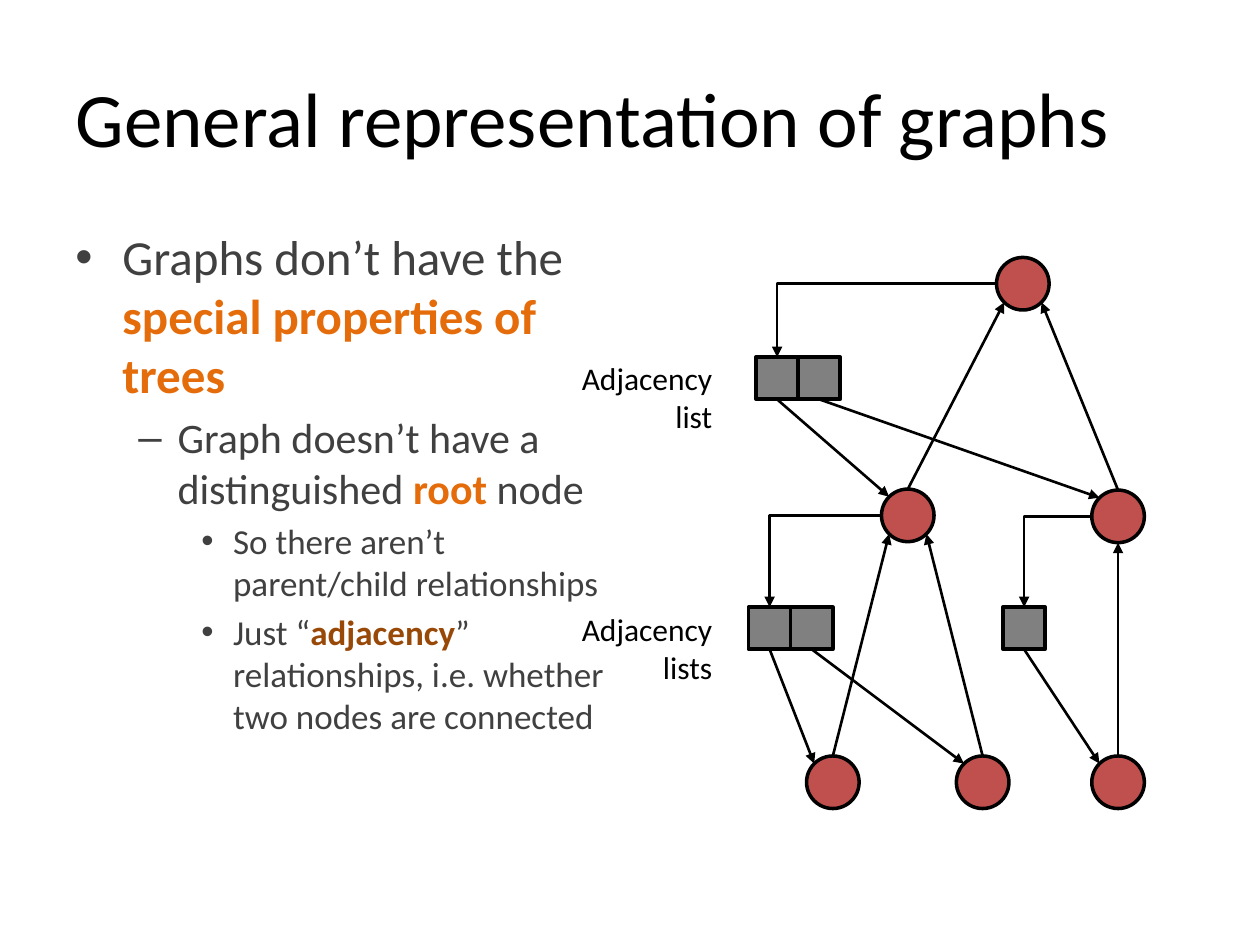
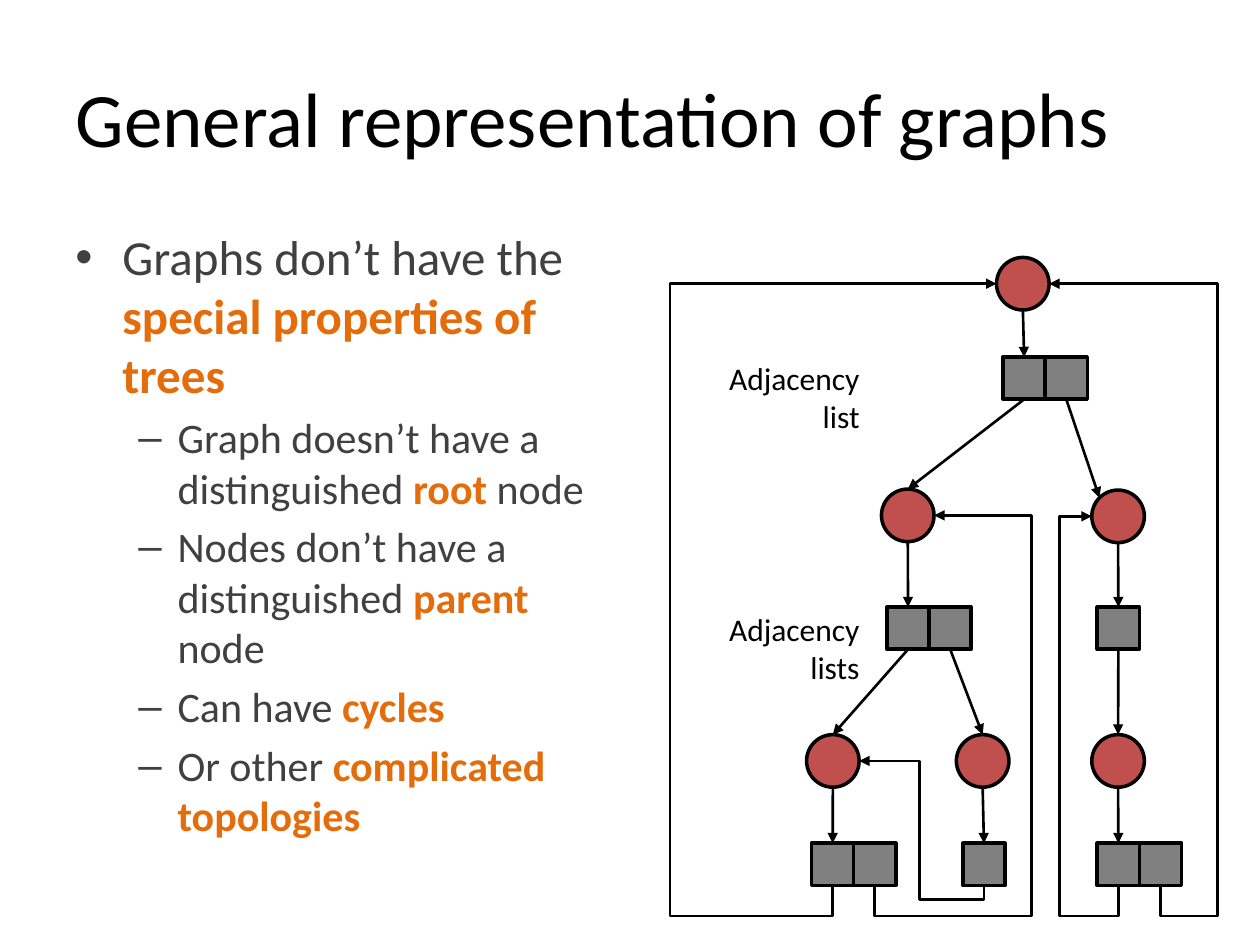
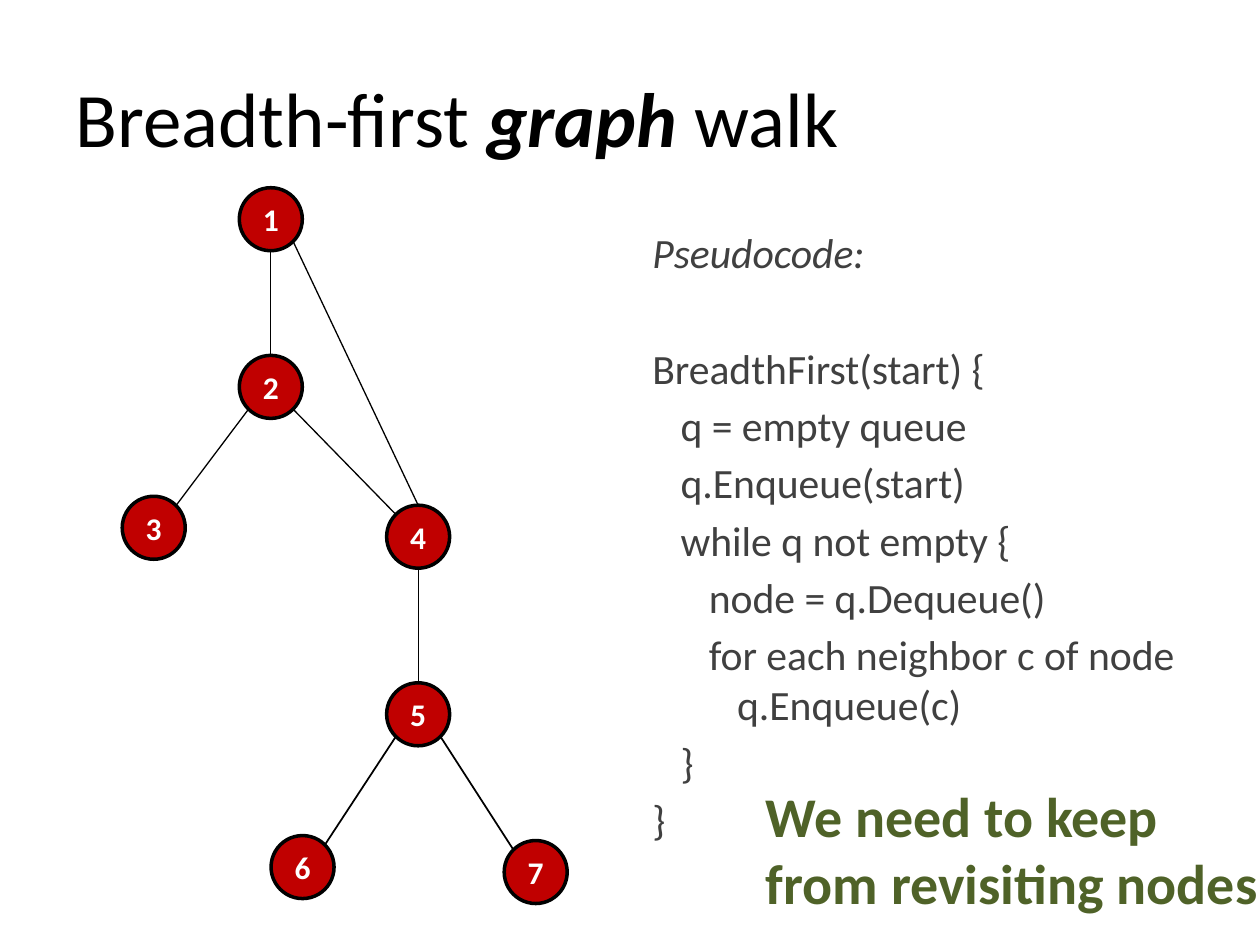
"""Build three slides on graph representation and breadth-first walks."""
from lxml import etree
from pptx import Presentation
from pptx.dml.color import RGBColor
from pptx.enum.shapes import MSO_CONNECTOR, MSO_SHAPE
from pptx.enum.text import MSO_ANCHOR, PP_ALIGN
from pptx.oxml.ns import qn
from pptx.util import Cm, Pt

STRAIGHT = MSO_CONNECTOR.STRAIGHT
OVAL, RECT = MSO_SHAPE.OVAL, MSO_SHAPE.RECTANGLE
MIDDLE = MSO_ANCHOR.MIDDLE
LEFT, CENTER, RIGHT = PP_ALIGN.LEFT, PP_ALIGN.CENTER, PP_ALIGN.RIGHT

FONT = "Calibri"
BLACK = RGBColor(0x00, 0x00, 0x00)
WHITE = RGBColor(0xFF, 0xFF, 0xFF)
TEXT = RGBColor(0x40, 0x40, 0x40)
ORANGE = RGBColor(0xE4, 0x6C, 0x0A)
BROWN = RGBColor(0x98, 0x48, 0x07)
GREEN = RGBColor(0x4F, 0x62, 0x28)
NODE_RED = RGBColor(0xC0, 0x50, 0x4D)
WALK_RED = RGBColor(0xC0, 0x00, 0x00)
GREY = RGBColor(0x80, 0x80, 0x80)

CELL = 0.85
NODE = 1.06
WALK_NODE = 1.27
DIAG = 0.71
SIDES = {"N": (0, -1), "S": (0, 1), "E": (1, 0), "W": (-1, 0),
         "NE": (DIAG, -DIAG), "NW": (-DIAG, -DIAG),
         "SE": (DIAG, DIAG), "SW": (-DIAG, DIAG)}

# bullet, size, left margin, hanging indent
LEVELS = [("•", 28, 0.95, 0.95), ("–", 24, 2.06, 0.79), ("•", 20, 3.18, 0.64)]
GRAPH_TITLE = [("General representation of graphs", False)]
INTRO = [
    (0, [("Graphs don’t have the ", None), ("special properties of trees", ORANGE)]),
    (1, [("Graph doesn’t have a distinguished ", None), ("root ", ORANGE), ("node", None)]),
]
ADJACENCY = [
    (2, [("So there aren’t parent/child relationships", None)]),
    (2, [("Just “", None), ("adjacency", BROWN),
         ("” relationships, i.e. whether two nodes are connected", None)]),
]
TOPOLOGY = [
    (1, [("Nodes don’t have a distinguished ", None), ("parent ", ORANGE), ("node", None)]),
    (1, [("Can have ", None), ("cycles", ORANGE)]),
    (1, [("Or other ", None), ("complicated topologies", ORANGE)]),
]
# indent, space before, text
CODE = [
    (0, 4.2, "Pseudocode:"),
    (0, 37.5, "BreadthFirst(start) {"),
    (1, 4.2, "q = empty queue"),
    (1, 4.2, "q.Enqueue(start)"),
    (1, 4.2, "while q not empty {"),
    (2, 4.2, "node = q.Dequeue()"),
    (2, 4.2, "for each neighbor c of node"),
    (3, 0, "q.Enqueue(c)"),
    (1, 4.2, "}"),
    (0, 4.2, "}"),
]


def add_run(p, text, size, color, bold=False, italic=False):
    """Add one formatted run."""
    r = p.add_run()
    r.text = text
    f = r.font
    f.name, f.size, f.bold, f.italic = FONT, Pt(size), bold, italic
    f.color.rgb = color


def next_paragraph(tf, first):
    """Return the first paragraph of a frame or a new one."""
    return tf.paragraphs[0] if first else tf.add_paragraph()


def add_slide(prs, title):
    """Add a title-only slide; emphasised runs are bold italic."""
    s = prs.slides.add_slide(prs.slide_layouts[5])
    sp = s.shapes.title
    sp.left, sp.top, sp.width, sp.height = Cm(1.27), Cm(0.76), Cm(22.86), Cm(3.18)
    sp.text_frame.vertical_anchor = MIDDLE
    p = sp.text_frame.paragraphs[0]
    p.alignment = LEFT
    for text, strong in title:
        add_run(p, text, 44, BLACK, strong, strong)
    return s


def add_frame(s, x, y, w, h, wrap=True):
    """Add a text box and return its frame."""
    tf = s.shapes.add_textbox(Cm(x), Cm(y), Cm(w), Cm(h)).text_frame
    tf.word_wrap = wrap
    return tf


def add_bullets(s, items):
    """Add the bulleted text on the left."""
    tf = add_frame(s, 1.27, 4.45, 11.23, 13.8)
    for i, (level, runs) in enumerate(items):
        bullet, size, margin, hang = LEVELS[level]
        p = next_paragraph(tf, i == 0)
        p.level = level
        p.space_before = Pt(size * 0.2)
        pPr = p._p.get_or_add_pPr()
        pPr.set("marL", str(Cm(margin)))
        pPr.set("indent", str(-Cm(hang)))
        etree.SubElement(pPr, qn("a:buFont")).set("typeface", "Arial")
        etree.SubElement(pPr, qn("a:buChar")).set("char", bullet)
        for text, accent in runs:
            add_run(p, text, size, accent or TEXT, accent is not None)


def add_code(s, lines):
    """Add the pseudocode with its heading in italics."""
    tf = add_frame(s, 12.9, 4.45, 11.23, 12.57)
    for i, (indent, gap, text) in enumerate(lines):
        p = next_paragraph(tf, i == 0)
        p.space_before = Pt(gap)
        p._p.get_or_add_pPr().set("marL", str(Cm(0.57 * indent)))
        add_run(p, text, 23.8, TEXT, italic=i == 0)


def add_lines(s, box, lines, size, color, align, bold=False):
    """Add short lines of text that do not wrap."""
    tf = add_frame(s, *box, wrap=False)
    for i, text in enumerate(lines):
        p = next_paragraph(tf, i == 0)
        p.alignment = align
        add_run(p, text, size, color, bold)


def add_labels(s, x):
    """Name the two rows of adjacency lists."""
    for y, word in ((7.11, "list"), (12.17, "lists")):
        add_lines(s, (x, y, 3.18, 1.8), ["Adjacency", word], 18, BLACK, RIGHT)


def add_outlined(s, kind, x, y, size, fill):
    """Add a filled preset shape with a black outline."""
    sp = s.shapes.add_shape(kind, Cm(x), Cm(y), Cm(size), Cm(size))
    sp.shadow.inherit = False
    sp.fill.solid()
    sp.fill.fore_color.rgb = fill
    sp.line.color.rgb = BLACK
    sp.line.width = Pt(2)
    return sp


def add_node(s, cx, cy, size=NODE, fill=NODE_RED):
    """Add a round node about its centre."""
    return add_outlined(s, OVAL, cx - size / 2, cy - size / 2, size, fill)


def add_walk_node(s, cx, cy, number):
    """Add a numbered node."""
    sp = add_node(s, cx, cy, WALK_NODE, WALK_RED)
    tf = sp.text_frame
    tf.word_wrap = False
    tf.vertical_anchor = MIDDLE
    tf.margin_left = tf.margin_right = tf.margin_top = tf.margin_bottom = 0
    p = tf.paragraphs[0]
    p.alignment = CENTER
    add_run(p, str(number), 18, WHITE, True)
    return sp


def add_cells(s, x, y, count):
    """Add an adjacency list as a row of cells."""
    return [add_outlined(s, RECT, x + i * CELL, y, CELL, GREY) for i in range(count)]


def port(sp, side):
    """Return the point on a side of a shape."""
    dx, dy = SIDES[side]
    return int(sp.left + sp.width * (1 + dx) / 2), int(sp.top + sp.height * (1 + dy) / 2)


def style_line(sp, width, arrow):
    """Make a line black and shadowless, with an optional arrowhead."""
    sp.line.color.rgb = BLACK
    sp.line.width = Pt(width)
    spPr = sp._element.spPr
    if arrow:
        etree.SubElement(spPr.find(qn("a:ln")), qn("a:tailEnd")).set("type", "triangle")
    etree.SubElement(spPr, qn("a:effectLst"))


def link(s, a, a_side, b, b_side, width=1.5, arrow=True):
    """Join two shapes with a straight line."""
    c = s.shapes.add_connector(STRAIGHT, *port(a, a_side), *port(b, b_side))
    style_line(c, width, arrow)


def route(s, points):
    """Draw an arrow with right-angled turns."""
    fb = s.shapes.build_freeform(*points[0], scale=1.0)
    fb.add_line_segments(points[1:], close=False)
    sp = fb.convert_to_shape()
    sp.fill.background()
    style_line(sp, 1.5, True)


def route_to_list(s, node, cell):
    """Lead sideways from a node, then down to its list."""
    start, end = port(node, "W"), port(cell, "N")
    route(s, [start, (end[0], start[1]), end])


def route_back(s, cell, node, side, lane_x, lane_y):
    """Lead from below a cell along a lane to the side of a node."""
    start, end = port(cell, "S"), port(node, side)
    x, y = Cm(lane_x), Cm(lane_y)
    route(s, [start, (start[0], y), (x, y), (x, end[1]), end])


def add_graph_nodes(s, leaf_y):
    """Add the six nodes in three rows."""
    centers = [(20.62, 5.72), (18.3, 10.39), (22.54, 10.41),
               (16.79, leaf_y), (19.81, leaf_y), (22.54, leaf_y)]
    return [add_node(s, *center) for center in centers]


def parent_slide(prs):
    """Show lists beside the nodes, with links back up."""
    s = add_slide(prs, GRAPH_TITLE)
    add_bullets(s, INTRO + ADJACENCY)
    root, left, right, leaf_a, leaf_b, leaf_c = add_graph_nodes(s, 15.77)
    root_list = add_cells(s, 15.24, 7.2, 2)
    left_list = add_cells(s, 15.09, 12.24, 2)
    right_list = add_cells(s, 20.22, 12.24, 1)
    for node, cells in ((root, root_list), (left, left_list), (right, right_list)):
        route_to_list(s, node, cells[0])
    for child, parent, side in ((left, root, "SW"), (right, root, "SE"),
                                (leaf_a, left, "SW"), (leaf_b, left, "SE"),
                                (leaf_c, right, "S")):
        link(s, child, "N", parent, side)
    cells = root_list + left_list + right_list
    for cell, node in zip(cells, (left, right, leaf_a, leaf_b, leaf_c)):
        link(s, cell, "S", node, "NW")
    add_labels(s, 11.43)


def topology_slide(prs):
    """Show lists below the nodes, with cycles."""
    s = add_slide(prs, GRAPH_TITLE)
    add_bullets(s, INTRO + TOPOLOGY)
    nodes = add_graph_nodes(s, 15.34)
    root, left, right, leaf_a, leaf_b, leaf_c = nodes
    spots = [(20.22, 7.2, 2), (17.88, 12.24, 2), (22.12, 12.24, 1),
             (16.36, 17, 2), (19.41, 17, 1), (22.12, 17, 2)]
    lists = [add_cells(s, *spot) for spot in spots]
    for node, cells in zip(nodes, lists):
        link(s, node, "S", cells[0], "N")
    root_list, left_list, right_list, list_a, list_b, list_c = lists
    for cell, node, side in ((root_list[0], left, "N"), (root_list[1], right, "NW"),
                             (left_list[0], leaf_a, "N"), (left_list[1], leaf_b, "N"),
                             (right_list[0], leaf_c, "N")):
        link(s, cell, "S", node, side)
    for lane in ((list_a[1], left, "E", 20.8, 18.47), (list_a[0], root, "W", 13.51, 18.47),
                 (list_c[1], root, "E", 24.54, 18.47), (list_c[0], right, "W", 21.36, 18.47),
                 (list_b[0], leaf_a, "E", 18.54, 18.14)):
        route_back(s, *lane)
    add_labels(s, 14.4)


def walk_slide(prs):
    """Show the breadth-first walk and its pseudocode."""
    s = add_slide(prs, [("Breadth-first ", False), ("graph", True), (" walk", False)])
    add_code(s, CODE)
    add_lines(s, (15.19, 15.62, 10.52, 3), ["We need to keep", "from revisiting nodes"],
              32, GREEN, LEFT, True)
    centers = [(5.46, 4.42), (5.46, 7.8), (3.1, 10.64), (8.43, 10.82),
               (8.43, 14.4), (6.1, 17.48), (10.8, 17.58)]
    nodes = {n: add_walk_node(s, *center, n) for n, center in enumerate(centers, 1)}
    for a, a_side, b, b_side, width in ((1, "S", 2, "N", 0.75), (1, "SE", 4, "N", 0.75),
                                        (2, "SW", 3, "NE", 0.75), (2, "SE", 4, "NW", 0.75),
                                        (4, "S", 5, "N", 0.75), (5, "SW", 6, "NE", 1),
                                        (5, "SE", 7, "NW", 1)):
        link(s, nodes[a], a_side, nodes[b], b_side, width, False)


def main():
    """Build and save the deck."""
    prs = Presentation()
    prs.slide_width, prs.slide_height = Cm(25.4), Cm(19.05)
    parent_slide(prs)
    topology_slide(prs)
    walk_slide(prs)
    prs.save("out.pptx")


if __name__ == "__main__":
    main()
